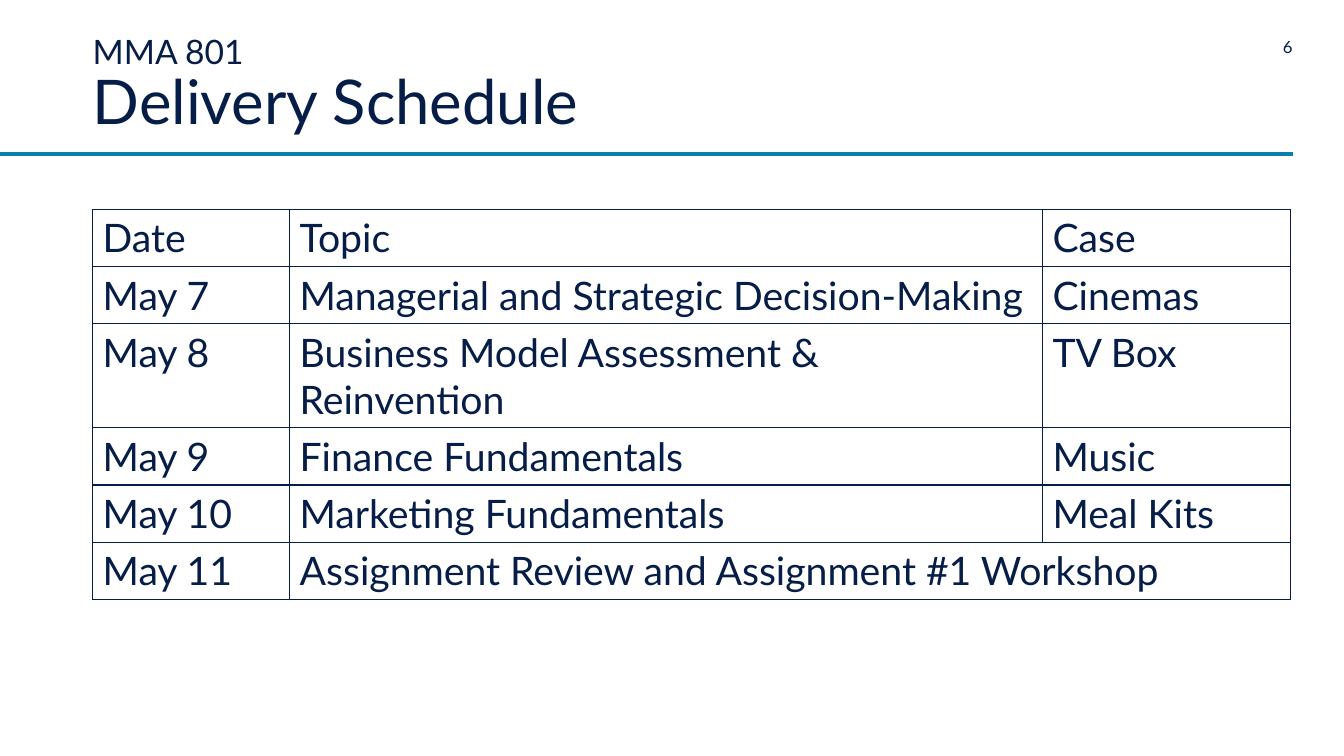
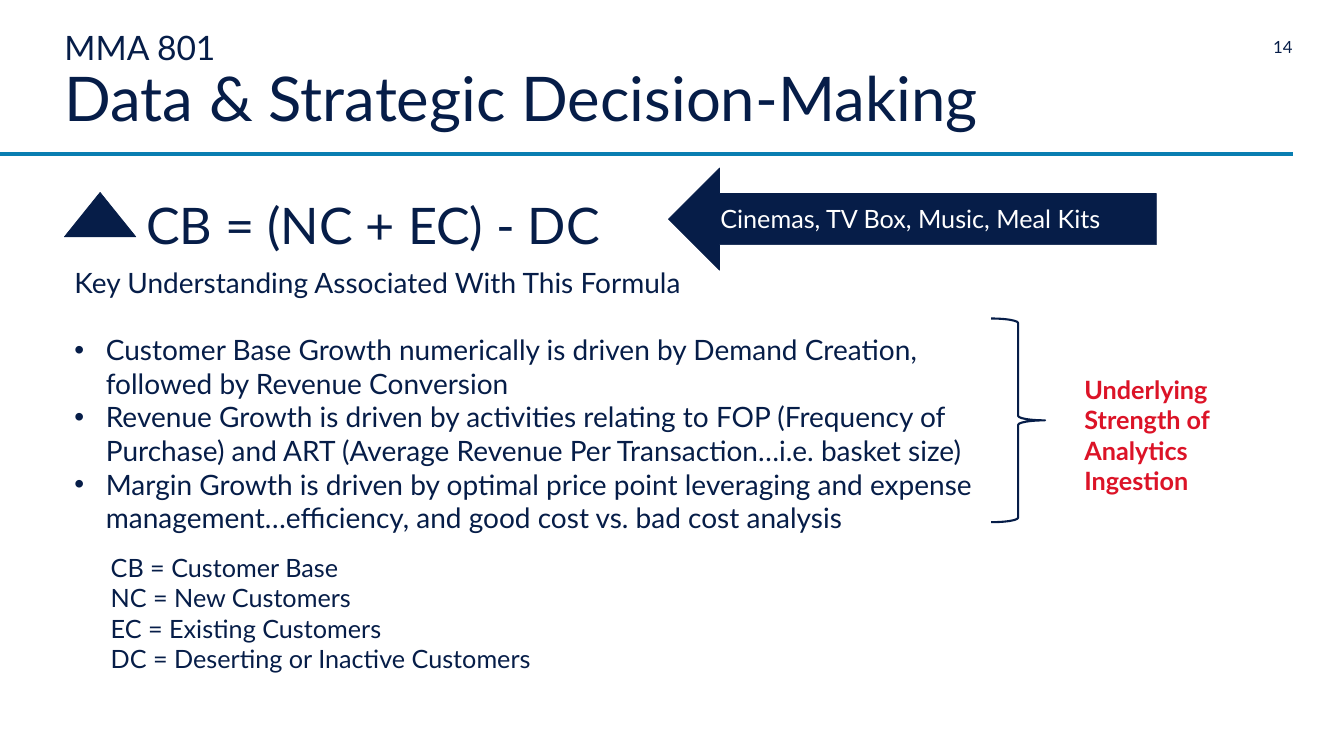
from dataclasses import dataclass
from typing import Optional

from lxml.etree import SubElement
from pptx import Presentation
from pptx.dml.color import RGBColor
from pptx.enum.shapes import MSO_CONNECTOR, MSO_SHAPE
from pptx.enum.text import MSO_ANCHOR, MSO_AUTO_SIZE, PP_ALIGN
from pptx.oxml.ns import qn
from pptx.slide import Slide
from pptx.table import _Cell
from pptx.util import Pt

NAVY = "061D48"
TEAL = "097EB1"
RED = "DC1327"
WHITE = "FFFFFF"
FONT = "Lato"
COURSE = "MMA 801"
RIGHT_EDGE = 923.3
RULE_TOP = 110
BULLET_INDENT = 22.5

NO_INSETS = {f"margin_{side}": Pt(0) for side in ("left", "right", "top", "bottom")}
GROWING = {"word_wrap": True, "auto_size": MSO_AUTO_SIZE.SHAPE_TO_FIT_TEXT}
TITLE_FRAME = {"word_wrap": True, "vertical_anchor": MSO_ANCHOR.BOTTOM, **NO_INSETS}
PLAIN_TABLE = {"first_row": False, "horz_banding": False}


@dataclass(frozen=True)
class Box:
    left: float
    top: float
    width: float
    height: float

    def lengths(self) -> tuple:
        return Pt(self.left), Pt(self.top), Pt(self.width), Pt(self.height)


@dataclass(frozen=True)
class Line:
    text: str
    bullet: bool = False
    before: float = 0


@dataclass(frozen=True)
class Block:
    box: Box
    lines: tuple
    size: float
    color: str = NAVY
    bold: bool = False
    fill: Optional[str] = None


@dataclass(frozen=True)
class Figure:
    preset: MSO_SHAPE
    box: Box
    line_width: float
    fill: Optional[str] = None


@dataclass(frozen=True)
class Session:
    date: str
    topic: str
    case: Optional[str] = None


SESSIONS = (
    Session("May 7", "Managerial and Strategic Decision-Making", "Cinemas"),
    Session("May 8", "Business Model Assessment & Reinvention", "TV Box"),
    Session("May 9", "Finance Fundamentals", "Music"),
    Session("May 10", "Marketing Fundamentals", "Meal Kits"),
    Session("May 11", "Assignment Review and Assignment #1 Workshop"),
)
SCHEDULE = (Session("Date", "Topic", "Case"), *SESSIONS)
SCHEDULE_LEFT, SCHEDULE_TOP = 66.2, 149.4
COLUMN_WIDTHS = (140.7, 537.8, 177)
ROW_HEIGHT = 40.8

FIGURES = (
    Figure(MSO_SHAPE.ISOSCELES_TRIANGLE, Box(46, 137.5, 51, 31.7), 0.5, NAVY),
    Figure(MSO_SHAPE.RIGHT_BRACE, Box(708, 227.5, 38.5, 145.5), 1.5),
    Figure(MSO_SHAPE.LEFT_ARROW, Box(477.5, 120, 348.5, 73), 0.5, NAVY),
)

BLOCKS = (
    Block(Box(97.3, 135, 359, 51), (Line("CB = (NC + EC) - DC"),), 36),
    Block(
        Box(72, 391, 405, 94),
        (
            Line("CB = Customer Base"),
            Line("NC = New Customers"),
            Line("EC = Existing Customers"),
            Line("DC = Deserting or Inactive Customers"),
        ),
        18,
    ),
    Block(
        Box(46, 186, 677.5, 201),
        (
            Line("Key Understanding Associated With This Formula"),
            Line(
                "Customer Base Growth numerically is driven by Demand Creation, "
                "followed by Revenue Conversion",
                bullet=True,
                before=24,
            ),
            Line(
                "Revenue Growth is driven by activities relating to FOP (Frequency of "
                "Purchase) and ART (Average Revenue Per Transaction…i.e. basket size)",
                bullet=True,
            ),
            Line(
                "Margin Growth is driven by optimal price point leveraging and expense "
                "management…efficiency, and good cost vs. bad cost analysis",
                bullet=True,
            ),
        ),
        20,
    ),
    Block(
        Box(767.5, 264, 165.5, 73),
        (Line("Underlying Strength of Analytics Ingestion"),),
        18,
        RED,
        bold=True,
    ),
    Block(
        Box(507.5, 142, 304, 29),
        (Line(", ".join(session.case for session in SESSIONS if session.case)),),
        18,
        WHITE,
        fill=NAVY,
    ),
)


def rgb(color: str) -> RGBColor:
    return RGBColor.from_string(color)


def apply(target, values: dict) -> None:
    for name, value in values.items():
        setattr(target, name, value)


def add_run(paragraph, text: str, size: float, color: str = NAVY, bold: bool = False) -> None:
    run = paragraph.add_run()
    run.text = text
    apply(run.font, {"name": FONT, "size": Pt(size), "bold": bold})
    run.font.color.rgb = rgb(color)


def add_frame(slide: Slide, box: Box, values: dict):
    holder = slide.shapes.add_textbox(*box.lengths())
    apply(holder.text_frame, values)
    return holder


def add_bullet(paragraph) -> None:
    properties = paragraph._p.get_or_add_pPr()
    properties.set("marL", str(Pt(BULLET_INDENT)))
    properties.set("indent", str(-Pt(BULLET_INDENT)))
    SubElement(properties, qn("a:buFont"), typeface="Arial")
    SubElement(properties, qn("a:buChar"), char="•")


def add_block(slide: Slide, block: Block) -> None:
    holder = add_frame(slide, block.box, GROWING)
    if block.fill:
        holder.fill.solid()
        holder.fill.fore_color.rgb = rgb(block.fill)
    frame = holder.text_frame
    for index, line in enumerate(block.lines):
        paragraph = frame.add_paragraph() if index else frame.paragraphs[0]
        if line.bullet:
            add_bullet(paragraph)
        if line.before:
            paragraph.space_before = Pt(line.before)
        add_run(paragraph, line.text, block.size, block.color, block.bold)


def add_figure(slide: Slide, figure: Figure) -> None:
    shape = slide.shapes.add_shape(figure.preset, *figure.box.lengths())
    shape.shadow.inherit = False
    if figure.fill:
        shape.fill.solid()
        shape.fill.fore_color.rgb = rgb(figure.fill)
    else:
        shape.fill.background()
    shape.line.color.rgb = rgb(NAVY)
    shape.line.width = Pt(figure.line_width)


def start_slide(deck, title: str, title_box: Box, number: int) -> Slide:
    slide = deck.slides.add_slide(deck.slide_layouts[6])
    rule = slide.shapes.add_connector(
        MSO_CONNECTOR.STRAIGHT, Pt(0), Pt(RULE_TOP), Pt(RIGHT_EDGE), Pt(RULE_TOP)
    )
    rule.line.color.rgb = rgb(TEAL)
    rule.line.width = Pt(2.25)
    SubElement(rule._element.spPr, qn("a:effectLst"))

    page = add_frame(slide, Box(RIGHT_EDGE - 30, 26, 30, 14.4), {**GROWING, **NO_INSETS})
    page_line = page.text_frame.paragraphs[0]
    page_line.alignment = PP_ALIGN.RIGHT
    add_run(page_line, str(number), 12)

    heading = add_frame(slide, title_box, TITLE_FRAME).text_frame.paragraphs[0]
    heading.line_spacing = 0.9
    add_run(heading, COURSE, 24)
    heading.add_line_break()
    add_run(heading, title, 44)
    return slide


def outline_cell(cell: _Cell) -> None:
    cell.fill.background()
    properties = cell._tc.get_or_add_tcPr()
    for index, side in enumerate(("lnL", "lnR", "lnT", "lnB")):
        border = SubElement(properties, qn(f"a:{side}"), w=str(Pt(1)))
        fill = SubElement(border, qn("a:solidFill"))
        SubElement(fill, qn("a:srgbClr"), val=NAVY)
        properties.insert(index, border)


def add_schedule(slide: Slide) -> None:
    box = Box(SCHEDULE_LEFT, SCHEDULE_TOP, sum(COLUMN_WIDTHS), ROW_HEIGHT * len(SCHEDULE))
    table = slide.shapes.add_table(len(SCHEDULE), len(COLUMN_WIDTHS), *box.lengths()).table
    apply(table, PLAIN_TABLE)
    for column, width in zip(table.columns, COLUMN_WIDTHS):
        column.width = Pt(width)
    for index, session in enumerate(SCHEDULE):
        table.rows[index].height = Pt(ROW_HEIGHT)
        for column, text in enumerate((session.date, session.topic, session.case)):
            cell = table.cell(index, column)
            outline_cell(cell)
            if text:
                add_run(cell.text_frame.paragraphs[0], text, 28)
        if session.case is None:
            table.cell(index, 1).merge(table.cell(index, 2))


def main() -> None:
    deck = Presentation()
    apply(deck, {"slide_width": Pt(960), "slide_height": Pt(540)})

    schedule = start_slide(deck, "Delivery Schedule", Box(66.2, 24.5, 740, 74), 6)
    add_schedule(schedule)

    formula = start_slide(deck, "Data & Strategic Decision-Making", Box(46, 28, 788, 68), 14)
    for figure in FIGURES:
        add_figure(formula, figure)
    for block in BLOCKS:
        add_block(formula, block)

    deck.save("out.pptx")


if __name__ == "__main__":
    main()
